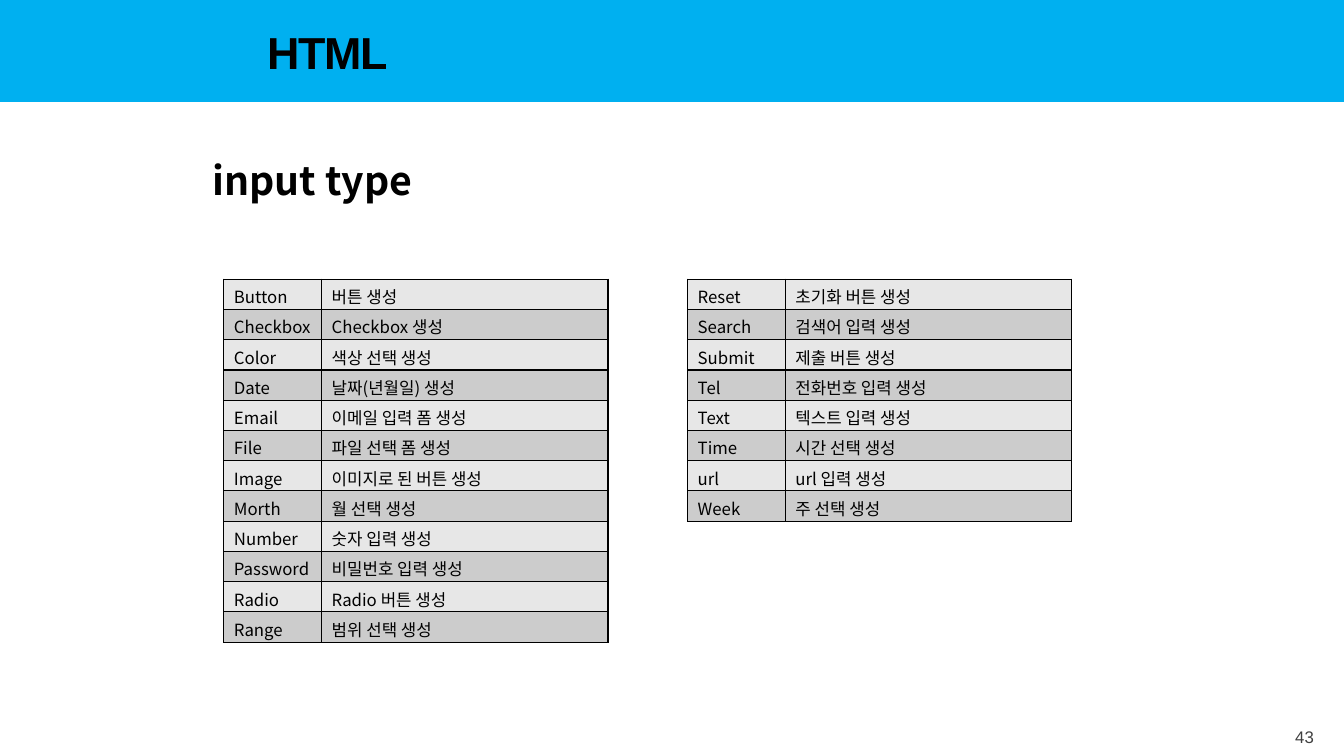
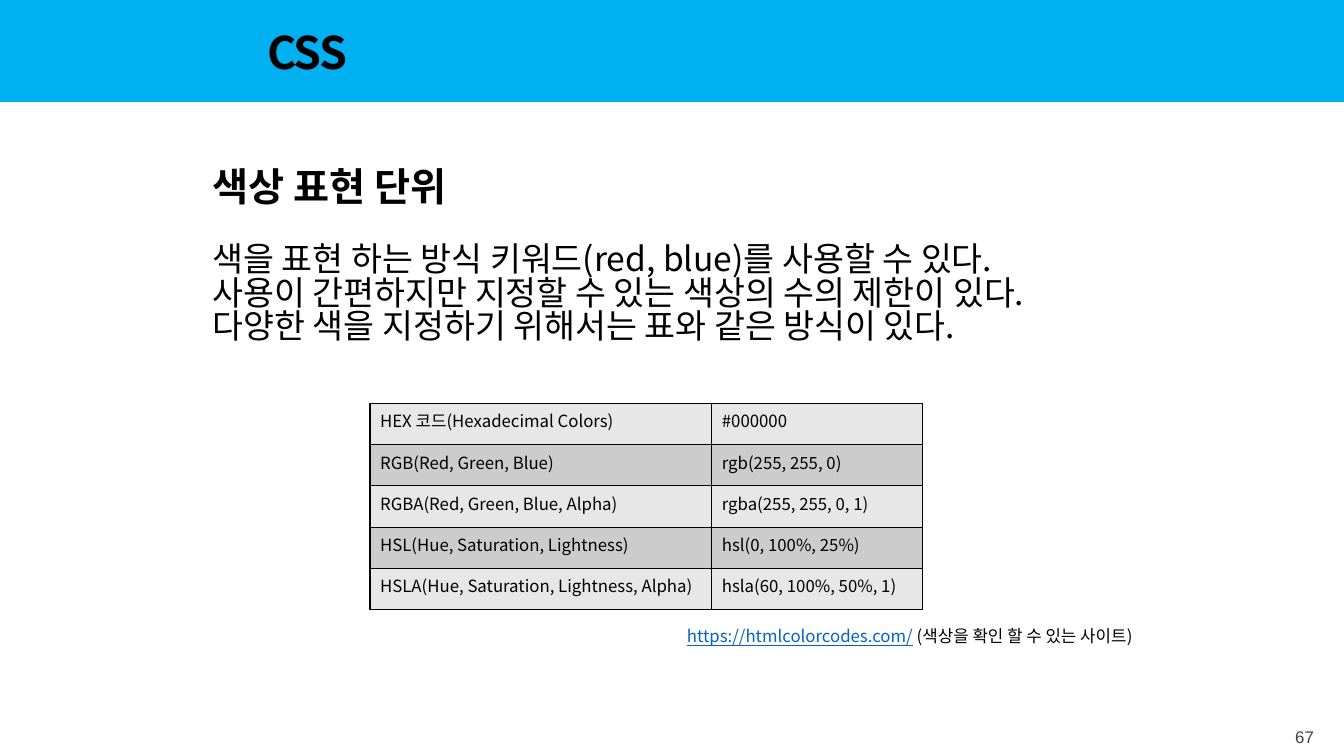
from lxml import etree
from pptx import Presentation
from pptx.dml.color import RGBColor
from pptx.enum.shapes import MSO_SHAPE
from pptx.enum.text import MSO_ANCHOR, MSO_AUTO_SIZE, PP_ALIGN
from pptx.oxml.ns import qn
from pptx.util import Inches, Pt

COLORS = {
    "band": "00B0F0",
    "text": "000000",
    "page": "404040",
    "link": "0563C1",
    "light row": "E7E7E7",
    "dark row": "CCCCCC",
    "border": "000000",
}
COLORS = {name: RGBColor.from_string(value) for name, value in COLORS.items()}
NOTO = "Noto Sans CJK KR"

SLIDES = [
    {
        "title": "HTML",
        "title_font": "Arial",
        "page": "43",
        "texts": [("input type", 1.5, 0.63, 28, True, 0.9)],
        "tables": [
            {"left": 2.22, "top": 2.77, "columns": (0.97, 2.84), "row": 0.3, "rows": [
                ("Button", "버튼 생성"),
                ("Checkbox", "Checkbox 생성"),
                ("Color", "색상 선택 생성"),
                ("Date", "날짜(년월일) 생성"),
                ("Email", "이메일 입력 폼 생성"),
                ("File", "파일 선택 폼 생성"),
                ("Image", "이미지로 된 버튼 생성"),
                ("Morth", "월 선택 생성"),
                ("Number", "숫자 입력 생성"),
                ("Password", "비밀번호 입력 생성"),
                ("Radio", "Radio 버튼 생성"),
                ("Range", "범위 선택 생성"),
            ]},
            {"left": 6.82, "top": 2.77, "columns": (0.97, 2.84), "row": 0.3, "rows": [
                ("Reset", "초기화 버튼 생성"),
                ("Search", "검색어 입력 생성"),
                ("Submit", "제출 버튼 생성"),
                ("Tel", "전화번호 입력 생성"),
                ("Text", "텍스트 입력 생성"),
                ("Time", "시간 선택 생성"),
                ("url", "url 입력 생성"),
                ("Week", "주 선택 생성"),
            ]},
        ],
    },
    {
        "title": "CSS",
        "title_font": NOTO,
        "page": "67",
        "texts": [
            ("색상 표현 단위", 1.56, 0.63, 28, True, 0.9),
            ("색을 표현 하는 방식 키워드(red, blue)를 사용할 수 있다.\v"
             "사용이 간편하지만 지정할 수 있는 색상의 수의 제한이 있다.\n"
             "다양한 색을 지정하기 위해서는 표와 같은 방식이 있다.",
             2.33, 1.5, 24, False, 0.83),
        ],
        "tables": [
            {"left": 3.67, "top": 4, "columns": (3.39, 2.09), "row": 0.41, "rows": [
                ("HEX 코드(Hexadecimal Colors)", "#000000"),
                ("RGB(Red, Green, Blue)", "rgb(255, 255, 0)"),
                ("RGBA(Red, Green, Blue, Alpha)", "rgba(255, 255, 0, 1)"),
                ("HSL(Hue, Saturation, Lightness)", "hsl(0, 100%, 25%)"),
                ("HSLA(Hue, Saturation, Lightness, Alpha)", "hsla(60, 100%, 50%, 1)"),
            ]},
        ],
        "link": ("https://htmlcolorcodes.com/", " (색상을 확인 할 수 있는 사이트)"),
    },
]


def style_text(frame, size, name=NOTO, color="text", bold=False,
               align=PP_ALIGN.LEFT, spacing=1.0):
    """Format every paragraph of a text frame, for Latin and Korean script."""
    for paragraph in frame.paragraphs:
        paragraph.alignment = align
        paragraph.line_spacing = spacing
        font = paragraph.font
        font.size, font.name, font.bold = Pt(size), name, bold
        font.color.rgb = COLORS[color]
        latin = paragraph._p.pPr.find(qn("a:defRPr")).find(qn("a:latin"))
        east_asian = etree.Element(qn("a:ea"), typeface=NOTO)
        latin.addnext(east_asian)


def add_borders(cell):
    properties = cell._tc.get_or_add_tcPr()
    for index, side in enumerate(("lnL", "lnR", "lnT", "lnB")):
        line = etree.Element(qn(f"a:{side}"), w=str(Pt(1)))
        fill = etree.SubElement(line, qn("a:solidFill"))
        etree.SubElement(fill, qn("a:srgbClr"), val=str(COLORS["border"]))
        properties.insert(index, line)


presentation = Presentation()
presentation.slide_width = Inches(13.33)
presentation.slide_height = Inches(7.5)
title_only = presentation.slide_layouts[5]

for content in SLIDES:
    slide = presentation.slides.add_slide(title_only)

    band = slide.shapes.add_shape(MSO_SHAPE.RECTANGLE, 0, 0,
                                  presentation.slide_width, Inches(1.01))
    band.shadow.inherit = False
    band.fill.solid()
    band.fill.fore_color.rgb = COLORS["band"]
    band.line.fill.background()
    slide.shapes._spTree.insert(2, band._element)  # behind the title

    title = slide.shapes.title
    title.left, title.top = Inches(2.55), Inches(0.23)
    title.width, title.height = Inches(7.72), Inches(0.64)
    frame = title.text_frame
    frame.text = content["title"]
    frame.auto_size = MSO_AUTO_SIZE.NONE
    frame.vertical_anchor = MSO_ANCHOR.MIDDLE
    frame.margin_top = frame.margin_bottom = 0
    style_text(frame, 32, content["title_font"], bold=True, spacing=0.9)
    frame.paragraphs[0].runs[0].font._element.set("spc", "-100")

    page = slide.shapes.add_textbox(Inches(12.72), Inches(7.16), Inches(0.41), Inches(0.3))
    page.text_frame.text = content["page"]
    style_text(page.text_frame, 12, "Arial", "page", align=PP_ALIGN.RIGHT)

    for text, top, height, size, bold, spacing in content["texts"]:
        box = slide.shapes.add_textbox(Inches(2.01), Inches(top), Inches(9.32), Inches(height))
        frame = box.text_frame
        frame.word_wrap = True
        frame.margin_top = frame.margin_bottom = Inches(0.1)
        frame.text = text
        style_text(frame, size, bold=bold, spacing=spacing)

    for grid in content["tables"]:
        rows, columns = grid["rows"], grid["columns"]
        table = slide.shapes.add_table(
            len(rows), len(columns), Inches(grid["left"]), Inches(grid["top"]),
            Inches(sum(columns)), Inches(grid["row"] * len(rows))).table
        table.first_row = table.horz_banding = False
        for column, width in zip(table.columns, columns):
            column.width = Inches(width)
        for row_index, texts in enumerate(rows):
            table.rows[row_index].height = Inches(grid["row"])
            for column_index, text in enumerate(texts):
                cell = table.cell(row_index, column_index)
                cell.text = text
                cell.margin_bottom = 0
                cell.fill.solid()
                cell.fill.fore_color.rgb = COLORS["dark row" if row_index % 2 else "light row"]
                style_text(cell.text_frame, 12)
                add_borders(cell)

    if "link" in content:
        box = slide.shapes.add_textbox(Inches(2.01), Inches(6.16), Inches(9.32), Inches(0.34))
        box.text_frame.word_wrap = True
        paragraph = box.text_frame.paragraphs[0]
        address, note = (paragraph.add_run() for _ in content["link"])
        address.text, note.text = content["link"]
        style_text(box.text_frame, 12, align=PP_ALIGN.RIGHT)
        address.font.color.rgb = COLORS["link"]
        address.font.underline = True

presentation.save("out.pptx")
